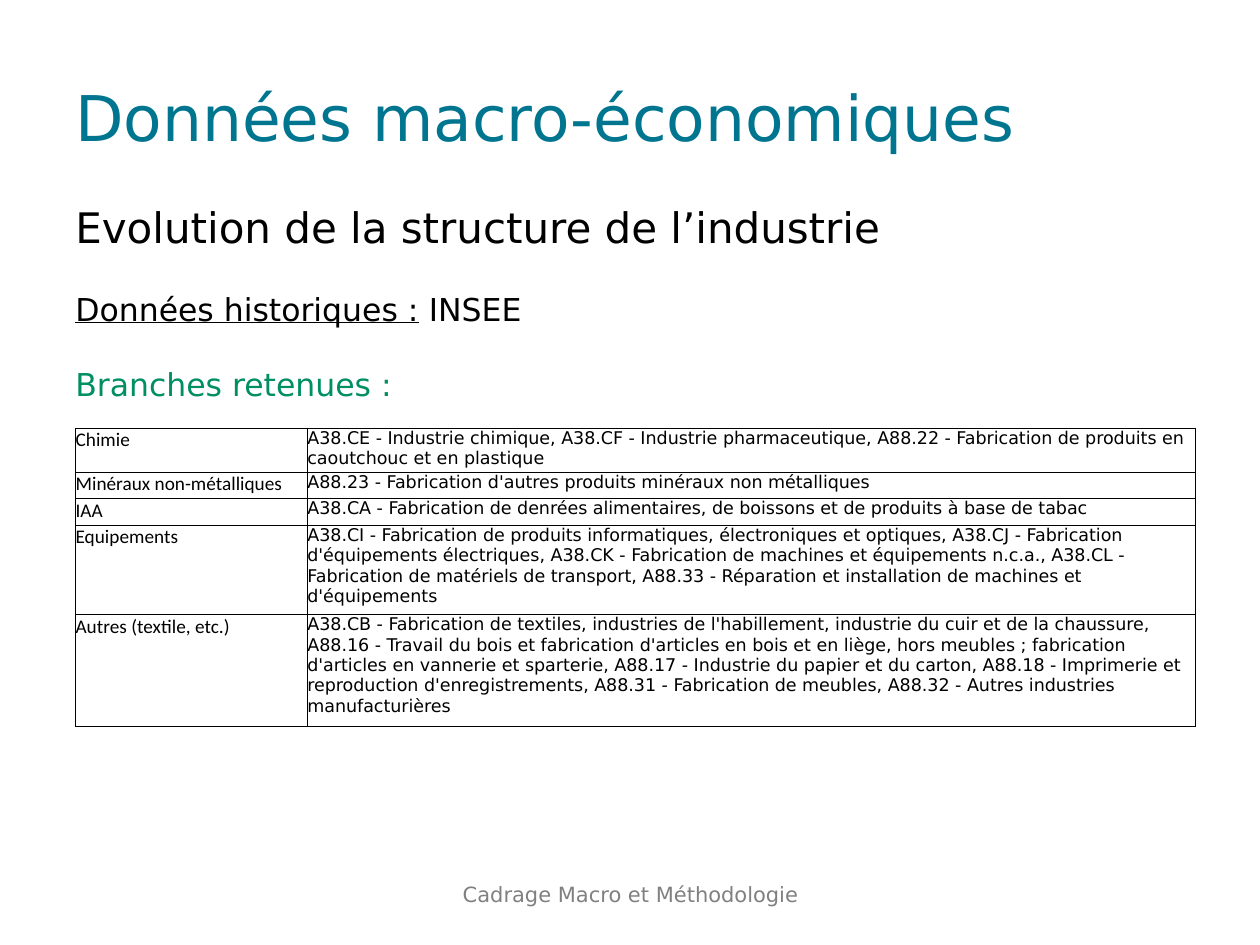
"""Build the slide on the structure of industry, with its table of branches."""
import pptx
import pptx.dml.color
import pptx.enum.text
import pptx.oxml
import pptx.oxml.ns
import pptx.util

COLORS = {"title": "00758F", "text": "000000", "accent": "008F62",
          "footer": "808080", "cell": "FFFFFF", "border": "000000"}
SANS, LABEL = "DejaVu Sans", "Calibri"
WIDTH, HEIGHT = 10, 7.5
LEFT, CENTER = pptx.enum.text.PP_ALIGN.LEFT, pptx.enum.text.PP_ALIGN.CENTER
TOP, MIDDLE = pptx.enum.text.MSO_ANCHOR.TOP, pptx.enum.text.MSO_ANCHOR.MIDDLE

TEXT_BOXES = [
    {"area": (0.05, 0.04, 0.9, 0.167), "anchor": MIDDLE, "align": LEFT, "gap": 0,
     "paragraphs": [[("Données macro-économiques", 36, "title", False)]]},
    {"area": (0.342, 0.92, 0.317, 0.053), "anchor": MIDDLE, "align": CENTER, "gap": 0,
     "paragraphs": [[("Cadrage Macro et Méthodologie", 12, "footer", False)]]},
    {"area": (0.05, 0.207, 0.9, 0.31), "anchor": TOP, "align": LEFT, "gap": 21.5,
     "paragraphs": [
         [("Evolution de la structure de l’industrie", 24, "text", False)],
         [("Données historiques :", 18, "text", True), (" INSEE", 18, "text", False)],
         [("Branches retenues :", 18, "accent", False)]]},
]

TABLE_AREA = (0.06, 0.453, 0.89, 0.315)
COLUMN_WIDTHS = (1.84, 7.05)
COLUMN_FONTS = ((LABEL, 11), (SANS, 10))
BRANCHES = [
    (0.35, "Chimie",
     "A38.CE - Industrie chimique, A38.CF - Industrie pharmaceutique, "
     "A88.22 - Fabrication de produits en caoutchouc et en plastique"),
    (0.21, "Minéraux non-métalliques",
     "A88.23 - Fabrication d'autres produits minéraux non métalliques"),
    (0.21, "IAA",
     "A38.CA - Fabrication de denrées alimentaires, de boissons et de produits à base de tabac"),
    (0.71, "Equipements",
     "A38.CI - Fabrication de produits informatiques, électroniques et optiques, "
     "A38.CJ - Fabrication d'équipements électriques, "
     "A38.CK - Fabrication de machines et équipements n.c.a., "
     "A38.CL - Fabrication de matériels de transport, "
     "A88.33 - Réparation et installation de machines et d'équipements"),
    (0.89, "Autres (textile, etc.)",
     "A38.CB - Fabrication de textiles, industries de l'habillement, "
     "industrie du cuir et de la chaussure, "
     "A88.16 - Travail du bois et fabrication d'articles en bois et en liège, hors meubles ; "
     "fabrication d'articles en vannerie et sparterie, "
     "A88.17 - Industrie du papier et du carton, "
     "A88.18 - Imprimerie et reproduction d'enregistrements, "
     "A88.31 - Fabrication de meubles, A88.32 - Autres industries manufacturières"),
]


def apply_format(target, values):
    """Set each named attribute of the target."""
    for name, value in values.items():
        setattr(target, name, value)


def place(area):
    """Turn shares of the slide into lengths."""
    return [pptx.util.Inches(share * size)
            for share, size in zip(area, (WIDTH, HEIGHT, WIDTH, HEIGHT))]


def add_run(paragraph, text, size, color, font=SANS, underline=False):
    """Add one formatted run."""
    run = paragraph.add_run()
    run.text = text
    apply_format(run.font, {"name": font, "size": pptx.util.Pt(size), "underline": underline})
    run.font.color.rgb = pptx.dml.color.RGBColor.from_string(COLORS[color])


def add_text_box(slide, box):
    """Add a text box with its paragraphs."""
    frame = slide.shapes.add_textbox(*place(box["area"])).text_frame
    apply_format(frame, {"word_wrap": True, "vertical_anchor": box["anchor"]})
    for index, runs in enumerate(box["paragraphs"]):
        paragraph = frame.add_paragraph() if index else frame.paragraphs[0]
        apply_format(paragraph, {"alignment": box["align"],
                                 "space_before": pptx.util.Pt(box["gap"] if index else 0)})
        for text, size, color, underline in runs:
            add_run(paragraph, text, size, color, underline=underline)


def add_borders(cell):
    """Draw a thin line on the four sides of a cell."""
    properties = cell._tc.get_or_add_tcPr()
    for index, side in enumerate(("lnL", "lnR", "lnT", "lnB")):
        properties.insert(index, pptx.oxml.parse_xml(
            f'<a:{side} {pptx.oxml.ns.nsdecls("a")} w="{pptx.util.Pt(0.5)}"><a:solidFill>'
            f'<a:srgbClr val="{COLORS["border"]}"/></a:solidFill></a:{side}>'))


def add_branch_table(slide):
    """Add the table of branches."""
    table = slide.shapes.add_table(
        len(BRANCHES), len(COLUMN_WIDTHS), *place(TABLE_AREA)).table
    apply_format(table, {"first_row": False, "horz_banding": False})
    for column, width in zip(table.columns, COLUMN_WIDTHS):
        column.width = pptx.util.Inches(width)
    margins = dict.fromkeys(("margin_left", "margin_right", "margin_top", "margin_bottom"), 0)
    for row, (height, *texts) in zip(table.rows, BRANCHES):
        row.height = pptx.util.Inches(height)
        for cell, text, (font, size) in zip(row.cells, texts, COLUMN_FONTS):
            apply_format(cell, margins)
            cell.fill.solid()
            cell.fill.fore_color.rgb = pptx.dml.color.RGBColor.from_string(COLORS["cell"])
            add_borders(cell)
            add_run(cell.text_frame.paragraphs[0], text, size, "text", font)


def main():
    """Build and save the presentation."""
    presentation = pptx.Presentation()
    apply_format(presentation, {"slide_width": pptx.util.Inches(WIDTH),
                                "slide_height": pptx.util.Inches(HEIGHT)})
    slide = presentation.slides.add_slide(presentation.slide_layouts[6])
    for box in TEXT_BOXES:
        add_text_box(slide, box)
    add_branch_table(slide)
    presentation.save("out.pptx")


if __name__ == "__main__":
    main()
